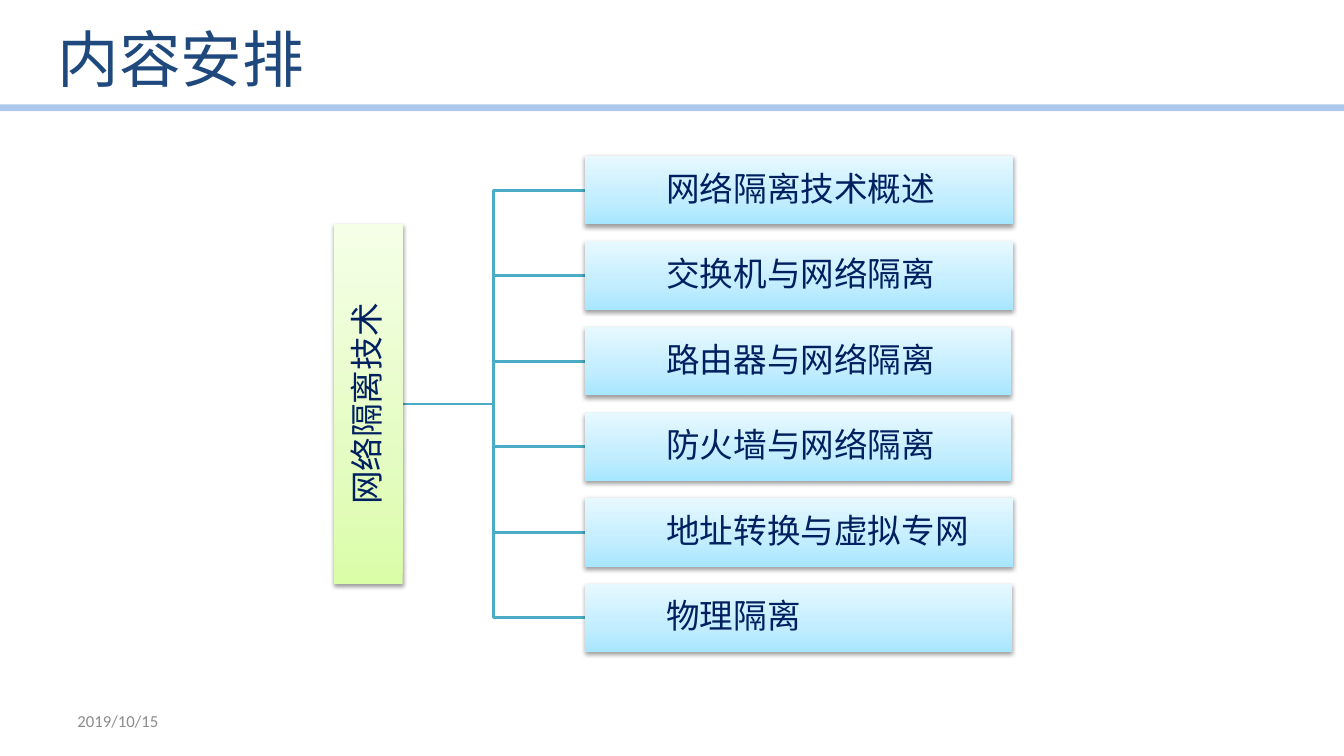
from dataclasses import dataclass

from lxml import etree
from pptx import Presentation
from pptx import util as u
from pptx.dml.color import RGBColor
from pptx.enum import shapes, text
from pptx.oxml import parse_xml
from pptx.oxml.ns import nsdecls, qn


@dataclass(frozen=True)
class Theme:
    title: str = "1F497D"
    label: str = "002060"
    date: str = "8C8C8C"
    rule: str = "8EB4E3"
    branch: str = "4BACC6"
    green: tuple[str, str, str] = ("DAFDA7", "E4FCC2", "F5FFE7")
    blue: tuple[str, str, str] = ("A7E6FF", "C1EDFF", "E7F8FF")
    chinese: str = "Noto Sans CJK SC"
    latin: str = "Calibri"
    title_size: float = 44
    label_size: float = 24
    date_size: float = 12


@dataclass(frozen=True)
class Node:
    label: str
    left: float
    top: float
    width: float
    colors: tuple[str, str, str]
    align: text.PP_ALIGN = text.PP_ALIGN.LEFT
    inset: float = 58.3
    rotation: float = 0


THEME = Theme()
SLIDE_WIDTH, SLIDE_HEIGHT = 960, 540
NODE_HEIGHT = 48.96
TOPIC_LEFT, TOPIC_TOP, TOPIC_PITCH = 417.6, 111.4, 61.08
ROOT_RIGHT, TRUNK_X, TRUNK_Y = 287.7, 352.6, 288.6
ROOT_LENGTH = 257
TOPICS = [
    ("网络隔离技术概述", 306),
    ("交换机与网络隔离", 306),
    ("路由器与网络隔离", 304.6),
    ("防火墙与网络隔离", 304.6),
    ("地址转换与虚拟专网", 306),
    ("物理隔离", 305.3),
]


def write(shape, words: str, size: float, color: str, face: str,
          align: text.PP_ALIGN = text.PP_ALIGN.LEFT):
    frame = shape.text_frame
    frame.word_wrap = True
    frame.auto_size = text.MSO_AUTO_SIZE.NONE
    frame.vertical_anchor = text.MSO_ANCHOR.MIDDLE
    para = frame.paragraphs[0]
    para.text = words
    para.alignment = align
    para.font.size = u.Pt(size)
    para.font.name = face
    para.font.color.rgb = RGBColor.from_string(color)
    for style in shape.element.iter(qn("a:defRPr")):
        etree.SubElement(style, qn("a:ea")).set("typeface", face)
    return para


def shade(shape, colors: tuple[str, str, str]) -> None:
    shape.fill.background()
    shape.line.fill.background()
    shape.shadow.inherit = False
    stops = "".join(
        f'<a:gs pos="{position}"><a:srgbClr val="{color}"/></a:gs>'
        for position, color in zip((0, 35000, 100000), colors)
    )
    gradient = parse_xml(
        f'<a:gradFill {nsdecls("a")} rotWithShape="0"><a:gsLst>{stops}</a:gsLst>'
        '<a:lin ang="16200000" scaled="1"/></a:gradFill>'
    )
    shadow = parse_xml(
        f'<a:outerShdw {nsdecls("a")} blurRad="40000" dist="20000" dir="5400000" '
        'rotWithShape="0"><a:srgbClr val="000000"><a:alpha val="38000"/>'
        '</a:srgbClr></a:outerShdw>'
    )
    properties = shape.element.spPr
    properties.replace(properties.find(qn("a:noFill")), gradient)
    properties.find(qn("a:effectLst")).append(shadow)


def add_node(page, node: Node) -> None:
    box = page.shapes.add_shape(
        shapes.MSO_SHAPE.RECTANGLE,
        u.Pt(node.left), u.Pt(node.top), u.Pt(node.width), u.Pt(NODE_HEIGHT),
    )
    box.rotation = node.rotation
    shade(box, node.colors)
    para = write(box, node.label, THEME.label_size, THEME.label, THEME.chinese, node.align)
    para.line_spacing = 0.9
    para.space_after = u.Pt(8.4)
    frame = box.text_frame
    frame.margin_left = u.Pt(node.inset)
    frame.margin_top = frame.margin_right = frame.margin_bottom = u.Pt(1.2)


def add_branch(page, middle: float) -> None:
    outline = page.shapes.build_freeform(u.Pt(ROOT_RIGHT), u.Pt(TRUNK_Y))
    corners = [(TRUNK_X, TRUNK_Y), (TRUNK_X, middle), (TOPIC_LEFT, middle)]
    outline.add_line_segments([(u.Pt(x), u.Pt(y)) for x, y in corners], close=False)
    branch = outline.convert_to_shape()
    branch.fill.background()
    branch.shadow.inherit = False
    branch.line.color.rgb = RGBColor.from_string(THEME.branch)
    branch.line.width = u.Pt(2)


def add_header(page) -> None:
    y = u.Pt(77)
    rule = page.shapes.add_connector(
        shapes.MSO_CONNECTOR.STRAIGHT, u.Pt(0), y, u.Pt(SLIDE_WIDTH), y
    )
    rule.line.color.rgb = RGBColor.from_string(THEME.rule)
    rule.line.width = u.Pt(4.75)
    for color in rule.element.spPr.iter(qn("a:srgbClr")):
        etree.SubElement(color, qn("a:alpha")).set("val", "73000")
    etree.SubElement(rule.element.spPr, qn("a:effectLst"))
    title = page.shapes.title
    title.left, title.top = u.Pt(33.84), u.Pt(6.48)
    title.width, title.height = u.Pt(793.44), u.Pt(69.84)
    write(title, "内容安排", THEME.title_size, THEME.title, THEME.chinese)


def add_date(page) -> None:
    box = page.shapes.add_textbox(u.Pt(48.24), u.Pt(500.4), u.Pt(223.92), u.Pt(28.8))
    write(box, "2019/10/15", THEME.date_size, THEME.date, THEME.latin)


def main() -> None:
    deck = Presentation()
    deck.slide_width, deck.slide_height = u.Pt(SLIDE_WIDTH), u.Pt(SLIDE_HEIGHT)
    page = deck.slides.add_slide(deck.slide_layouts[5])
    add_header(page)
    root = Node(
        "网络隔离技术",
        ROOT_RIGHT - (NODE_HEIGHT + ROOT_LENGTH) / 2,
        TRUNK_Y - NODE_HEIGHT / 2,
        ROOT_LENGTH, THEME.green, text.PP_ALIGN.CENTER, 1.2, 270,
    )
    topics = [
        Node(label, TOPIC_LEFT, TOPIC_TOP + row * TOPIC_PITCH, width, THEME.blue)
        for row, (label, width) in enumerate(TOPICS)
    ]
    for topic in reversed(topics):
        add_branch(page, topic.top + NODE_HEIGHT / 2)
    for node in [root, *topics]:
        add_node(page, node)
    add_date(page)
    deck.save("out.pptx")


if __name__ == "__main__":
    main()
